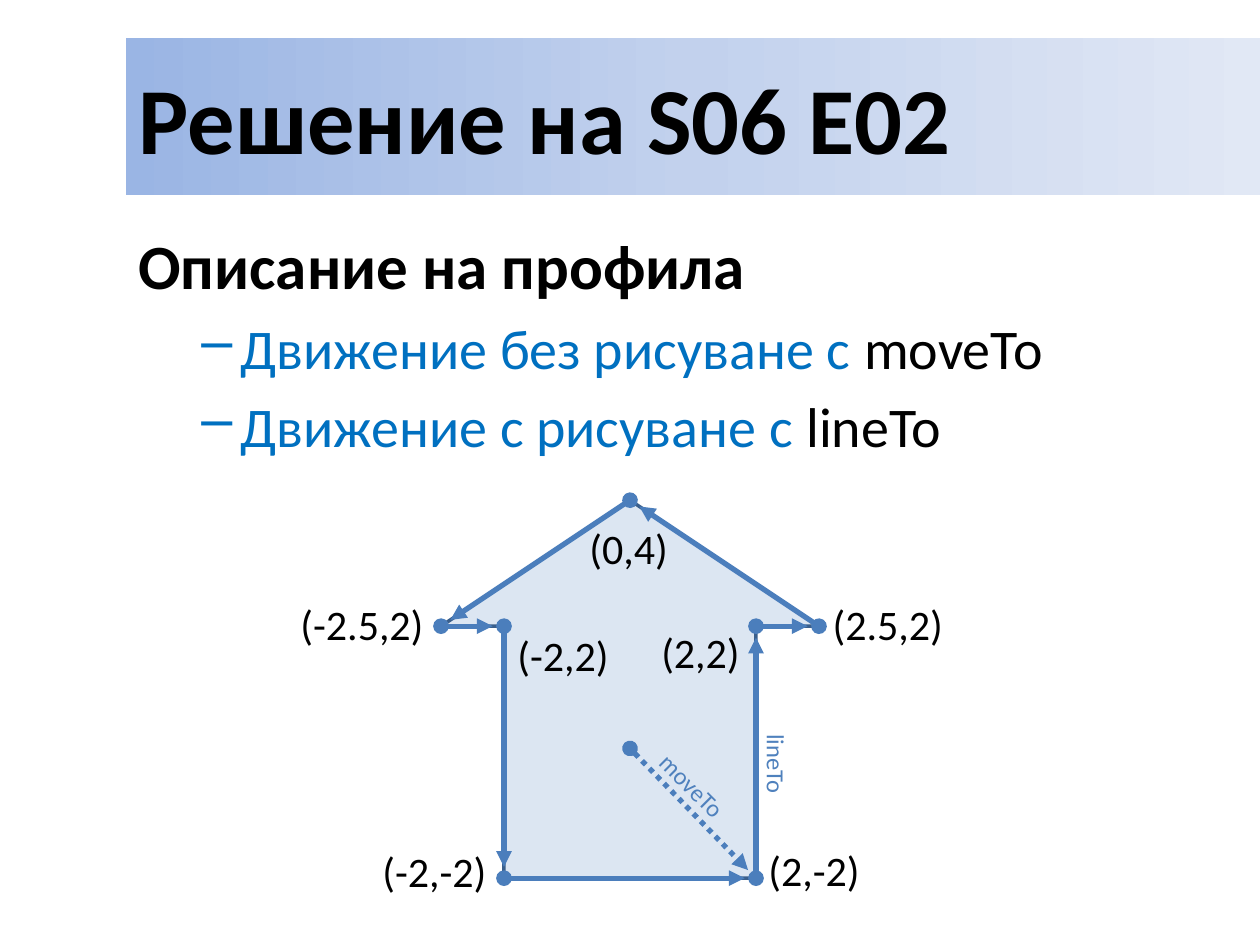
from copy import deepcopy
from itertools import pairwise
from math import hypot

from lxml.etree import SubElement
from pptx import Presentation
from pptx.dml.color import RGBColor
from pptx.enum.dml import MSO_LINE
from pptx.enum.shapes import MSO_CONNECTOR, MSO_SHAPE
from pptx.enum.text import MSO_ANCHOR, MSO_AUTO_SIZE, PP_ALIGN
from pptx.oxml.ns import qn
from pptx.util import Inches, Pt

BLACK = RGBColor(0x00, 0x00, 0x00)
BLUE_TEXT = RGBColor(0x00, 0x70, 0xC0)
LABEL_BLUE = RGBColor(0x4F, 0x81, 0xBD)
ARROW_BLUE = RGBColor(0x4B, 0x7E, 0xBC)
OUTLINE_BLUE = RGBColor(0x3A, 0x5F, 0x8C)
HOUSE_FILL = RGBColor(0xDC, 0xE6, 0xF2)
BANNER_STOPS = [
    (0, RGBColor(0x9A, 0xB5, 0xE4)),
    (0.5, RGBColor(0xC2, 0xD1, 0xED)),
    (1, RGBColor(0xE1, 0xE8, 0xF5)),
]

TITLE_FONT = {"name": "Calibri", "size": Pt(54), "bold": True}
HEADING_FONT = {"name": "Calibri", "size": Pt(36), "bold": True}
BULLET_FONT = {"name": "Calibri", "size": Pt(32), "bold": False}
POINT_FONT = {"name": "Calibri", "size": Pt(24)}
COMMAND_FONT = {"name": "Calibri", "size": Pt(14)}

UNIT = 0.5
ARROW_GAP = 0.09
PROFILE = [(2, -2), (2, 2), (3, 2), (0, 4), (-3, 2), (-2, 2), (-2, -2), (2, -2)]
POINT_LABELS = [
    ("(2,-2)", 1, 0.68, 0.93, PP_ALIGN.LEFT),
    ("(2,2)", 0.15, -1.05, 0.83, PP_ALIGN.LEFT),
    ("(2.5,2)", 1.51, -1.27, 1.08, PP_ALIGN.LEFT),
    ("(0,4)", -0.42, -1.87, 0.83, PP_ALIGN.LEFT),
    ("(-2,-2)", -2.08, 0.69, 1.04, PP_ALIGN.RIGHT),
    ("(-2,2)", -1, -1.02, 0.93, PP_ALIGN.RIGHT),
    ("(-2.5,2)", -2.73, -1.27, 1.19, PP_ALIGN.RIGHT),
]
COMMAND_LABELS = [
    ("moveTo", 0.08, 0.1, 0.83, 45),
    ("lineTo", 0.82, -0.07, 0.68, 90),
]


def set_attributes(target, values):
    """Set every named attribute of the target."""
    for attribute, value in values.items():
        setattr(target, attribute, value)


def add_run(paragraph, text, font, color):
    """Append a formatted run to the paragraph."""
    run = paragraph.add_run()
    run.text = text
    set_attributes(run.font, font)
    run.font.color.rgb = color


def add_banner(slide, left, top, width, height):
    """Place the title on its gradient band."""
    banner = slide.shapes.add_shape(
        MSO_SHAPE.RECTANGLE, Inches(left), Inches(top), Inches(width), Inches(height))
    banner.shadow.inherit = False
    banner.line.fill.background()
    banner.fill.gradient()
    banner.fill.gradient_angle = 0
    stop_list = next(banner._element.spPr.iter(qn("a:gsLst")))
    stop_list.append(deepcopy(stop_list[0]))
    for stop, (position, color) in zip(banner.fill.gradient_stops, BANNER_STOPS):
        stop.position = position
        stop.color.rgb = color
    banner.text_frame.vertical_anchor = MSO_ANCHOR.MIDDLE
    title = banner.text_frame.paragraphs[0]
    title.alignment = PP_ALIGN.LEFT
    add_run(title, "Решение на S06 E02", TITLE_FONT, BLACK)


def add_description(slide, left, top, width, height):
    """Place the heading and its two dashed points."""
    frame = slide.shapes.add_textbox(
        Inches(left), Inches(top), Inches(width), Inches(height)).text_frame
    frame.word_wrap = True
    heading = frame.paragraphs[0]
    heading.space_before = Pt(7.2)
    add_run(heading, "Описание на профила", HEADING_FONT, BLACK)
    for motion, command in [("Движение без рисуване с ", "moveTo"),
                            ("Движение с рисуване с ", "lineTo")]:
        point = frame.add_paragraph()
        set_attributes(point, {"level": 1, "space_before": Pt(6.4)})
        properties = point._p.get_or_add_pPr()
        properties.set("marL", str(Inches(0.81)))
        properties.set("indent", str(Inches(-0.31)))
        SubElement(properties, qn("a:buChar"), char="–")
        add_run(point, motion, BULLET_FONT, BLUE_TEXT)
        add_run(point, command, BULLET_FONT, BLACK)


def add_house(slide, corners):
    """Draw the filled profile through the corners."""
    points = [(Inches(x), Inches(y)) for x, y in corners]
    builder = slide.shapes.build_freeform(*points[0])
    builder.add_line_segments(points[1:-1], close=True)
    house = builder.convert_to_shape()
    house.shadow.inherit = False
    house.fill.solid()
    house.fill.fore_color.rgb = HOUSE_FILL
    house.line.color.rgb = OUTLINE_BLUE
    house.line.width = Pt(2)


def add_arrow(slide, start, end, dash=MSO_LINE.SOLID):
    """Draw a dot-tailed arrow that stops just before its end point."""
    (x1, y1), (x2, y2) = start, end
    reach = 1 - ARROW_GAP / hypot(x2 - x1, y2 - y1)
    tip_x, tip_y = x1 + (x2 - x1) * reach, y1 + (y2 - y1) * reach
    arrow = slide.shapes.add_connector(
        MSO_CONNECTOR.STRAIGHT, Inches(x1), Inches(y1), Inches(tip_x), Inches(tip_y))
    arrow.line.color.rgb = ARROW_BLUE
    set_attributes(arrow.line, {"width": Pt(3), "dash_style": dash})
    outline = arrow.line._get_or_add_ln()
    SubElement(outline, qn("a:headEnd"), type="oval")
    SubElement(outline, qn("a:tailEnd"), type="triangle")
    SubElement(arrow._element.spPr, qn("a:effectLst"))


def add_label(slide, text, left, top, width, height, font, color,
              alignment=PP_ALIGN.LEFT, rotation=0):
    """Place a one-line label."""
    label = slide.shapes.add_textbox(
        Inches(left), Inches(top), Inches(width), Inches(height))
    label.rotation = rotation
    set_attributes(label.text_frame,
                   {"word_wrap": False, "auto_size": MSO_AUTO_SIZE.SHAPE_TO_FIT_TEXT})
    paragraph = label.text_frame.paragraphs[0]
    paragraph.alignment = alignment
    add_run(paragraph, text, font, color)


def add_diagram(slide, left, top, width, height):
    """Draw the profile, its labels and the drawing moves in the box."""
    center_x, center_y = left + width / 2, top + 4 * UNIT
    corners = [(center_x + x * UNIT, center_y - y * UNIT) for x, y in PROFILE]
    add_house(slide, corners)
    for text, dx, dy, label_width, alignment in POINT_LABELS:
        add_label(slide, text, center_x + dx, center_y + dy, label_width, 0.5,
                  POINT_FONT, BLACK, alignment)
    add_arrow(slide, (center_x, top + height - 1.03), corners[0], MSO_LINE.ROUND_DOT)
    for start, end in pairwise(corners):
        add_arrow(slide, start, end)
    for text, dx, dy, label_width, rotation in COMMAND_LABELS:
        add_label(slide, text, center_x + dx, center_y + dy, label_width, 0.34,
                  COMMAND_FONT, LABEL_BLUE, rotation=rotation)


def main():
    """Build and save the slide."""
    presentation = Presentation()
    set_attributes(presentation, {"slide_width": Inches(10), "slide_height": Inches(7.5)})
    slide = presentation.slides.add_slide(presentation.slide_layouts[6])
    add_banner(slide, 1, 0.3, 9, 1.25)
    add_description(slide, 1, 1.75, 9, 5.58)
    add_diagram(slide, 3.5, 3.97, 3, 3)
    presentation.save("out.pptx")


if __name__ == "__main__":
    main()
